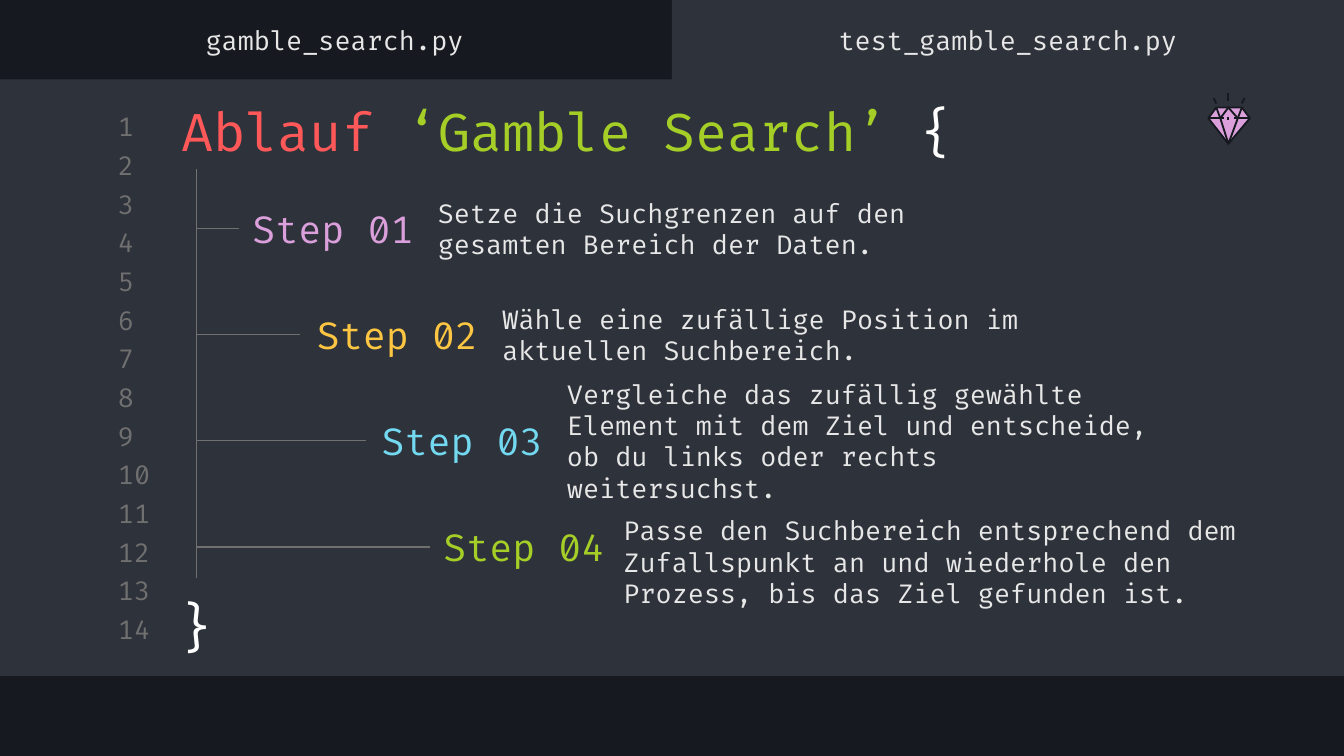
"""Build the dark code-editor slide that lists the four steps of the gamble search."""
import pptx
import pptx.dml.color
import pptx.enum.shapes
import pptx.enum.text
import pptx.oxml
import pptx.util

Inches = pptx.util.Inches
Pt = pptx.util.Pt
RGBColor = pptx.dml.color.RGBColor
Align = pptx.enum.text.PP_ALIGN
Anchor = pptx.enum.text.MSO_ANCHOR

NIGHT = RGBColor(0x16, 0x19, 0x1F)
PANEL = RGBColor(0x2E, 0x32, 0x3B)
GRAY = RGBColor(0x70, 0x70, 0x70)
LIGHT = RGBColor(0xE7, 0xE7, 0xE7)
WHITE = RGBColor(0xFF, 0xFF, 0xFF)
RED = RGBColor(0xFF, 0x58, 0x58)
GREEN = RGBColor(0xA5, 0xCF, 0x27)
PINK = RGBColor(0xDB, 0xA0, 0xDB)
YELLOW = RGBColor(0xFC, 0xC6, 0x42)
BLUE = RGBColor(0x72, 0xD9, 0xF0)

FONT = "Fira Code"
PANELS = [(0, 0.59, 10, 4.44), (5, 0, 5, 0.65)]
TABS = [("gamble_search.py", -0.01), ("test_gamble_search.py", 5)]
TITLE = [("Ablauf ", RED), ("‘Gamble Search’ ", GREEN), ("{", WHITE)]
STEPS = [
    {"label": "Step 01", "color": PINK, "left": 1.78, "branch_end": 1.78,
     "text": "Setze die Suchgrenzen auf den gesamten Bereich der Daten.",
     "text_box": (3.16, 1.38, 4.35)},
    {"label": "Step 02", "color": YELLOW, "left": 2.26, "branch_end": 2.23,
     "text": "Wähle eine zufällige Position im aktuellen Suchbereich.",
     "text_box": (3.64, 2.17, 4.35)},
    {"label": "Step 03", "color": BLUE, "left": 2.74, "branch_end": 2.72,
     "text": "Vergleiche das zufällig gewählte Element mit dem Ziel und entscheide, "
             "ob du links oder rechts weitersuchst.",
     "text_box": (4.12, 2.96, 4.55)},
    {"label": "Step 04", "color": GREEN, "left": 3.2, "branch_end": 3.2,
     "text": "Passe den Suchbereich entsprechend dem Zufallspunkt an und wiederhole "
             "den Prozess, bis das Ziel gefunden ist.",
     "text_box": (4.54, 3.86, 5.18)},
]
LINE_COUNT, LINE_TOP, LAST_LINE_TOP = 14, 0.82, 4.56
LINE_PITCH = (LAST_LINE_TOP - LINE_TOP) / (LINE_COUNT - 1)
STEP_TOP, STEP_PITCH, STEP_HEIGHT = 1.38, 0.79, 0.64
TRUNK_X, TRUNK_TOP, TRUNK_BOTTOM = 1.46, 1.26, 4.3

GEM_OUTLINE = [[(905, 80), (899, 88), (914, 107), (930, 88), (924, 80), (905, 80)]]
GEM_FACETS = [
    [(899, 88), (911, 88)],
    [(918, 88), (930, 88)],
    [(905, 80), (908, 88), (914, 107), (921, 88), (924, 80)],
    [(908, 88), (914, 80), (921, 88)],
    [(914, 87), (914, 89)],
    [(914, 69), (914, 75)],
    [(903, 73), (905, 77)],
    [(926, 73), (924, 77)],
]


def fill_text(shape, runs, size, align=Align.LEFT, anchor=Anchor.MIDDLE):
    frame = shape.text_frame
    inset = Inches(0.1)
    settings = {"word_wrap": True, "auto_size": pptx.enum.text.MSO_AUTO_SIZE.NONE,
                "vertical_anchor": anchor, "margin_left": inset, "margin_right": inset,
                "margin_top": inset, "margin_bottom": inset}
    for name, value in settings.items():
        setattr(frame, name, value)
    paragraph = frame.paragraphs[0]
    paragraph.alignment = align
    for text, color in runs:
        run = paragraph.add_run()
        run.text = text
        for name, value in {"name": FONT, "size": Pt(size)}.items():
            setattr(run.font, name, value)
        run.font.color.rgb = color


def add_text(slide, box, text, color, size=14, **layout):
    shape = slide.shapes.add_textbox(*map(Inches, box))
    fill_text(shape, [(text, color)], size, **layout)
    return shape


def add_line(slide, *ends):
    line = slide.shapes.add_connector(
        pptx.enum.shapes.MSO_CONNECTOR.STRAIGHT, *map(Inches, ends))
    line.line.color.rgb = GRAY
    line.line.width = Pt(0.75)
    effects = pptx.oxml.parse_xml(
        '<a:effectLst xmlns:a="http://schemas.openxmlformats.org/drawingml/2006/main"/>')
    line.element.spPr.append(effects)
    return line


def add_gem_part(slide, contours, fill=None):
    builder = slide.shapes.build_freeform(*contours[0][0], scale=Inches(0.01))
    for index, contour in enumerate(contours):
        if index:
            builder.move_to(*contour[0])
        builder.add_line_segments(contour[1:], close=False)
    part = builder.convert_to_shape()
    part.shadow.inherit = False
    part.line.color.rgb = NIGHT
    part.line.width = Pt(1)
    if fill is None:
        part.fill.background()
    else:
        part.fill.solid()
        part.fill.fore_color.rgb = fill


def add_step(slide, index, step):
    top = STEP_TOP + index * STEP_PITCH
    middle = top + STEP_HEIGHT / 2
    label = add_text(slide, (step["left"], top, 1.42, STEP_HEIGHT),
                     step["label"], step["color"], size=20)
    add_text(slide, (*step["text_box"], STEP_HEIGHT), step["text"], LIGHT)
    branch = add_line(slide, TRUNK_X, middle, step["branch_end"], middle)
    if step["branch_end"] == step["left"]:
        branch.end_connect(label, 1)


def main():
    presentation = pptx.Presentation()
    presentation.slide_width = Inches(10)
    presentation.slide_height = presentation.slide_width * 9 // 16
    slide = presentation.slides.add_slide(presentation.slide_layouts[5])
    slide.background.fill.solid()
    slide.background.fill.fore_color.rgb = NIGHT

    for box in PANELS:
        panel = slide.shapes.add_shape(
            pptx.enum.shapes.MSO_SHAPE.RECTANGLE, *map(Inches, box))
        panel.shadow.inherit = False
        panel.fill.solid()
        panel.fill.fore_color.rgb = PANEL
        panel.line.fill.background()

    for index in range(LINE_COUNT):
        add_text(slide, (0.78, LINE_TOP + index * LINE_PITCH, 0.47, 0.24),
                 str(index + 1), GRAY)

    title = slide.shapes.title
    title.element.getparent().append(title.element)
    for name, value in {"left": 1.25, "top": 0.64, "width": 7.97, "height": 0.59}.items():
        setattr(title, name, Inches(value))
    fill_text(title, TITLE, 28, anchor=Anchor.TOP)
    add_text(slide, (1.19, 4.32, 0.55, 0.67), "}", WHITE, size=28,
             align=Align.CENTER, anchor=Anchor.TOP)

    add_line(slide, TRUNK_X, TRUNK_TOP, TRUNK_X, TRUNK_BOTTOM)
    for index, step in enumerate(STEPS):
        add_step(slide, index, step)

    add_gem_part(slide, GEM_OUTLINE, PINK)
    add_gem_part(slide, GEM_FACETS)
    for text, left in TABS:
        add_text(slide, (left, 0.1, 5, 0.39), text, LIGHT, align=Align.CENTER)

    presentation.save("out.pptx")


if __name__ == "__main__":
    main()
